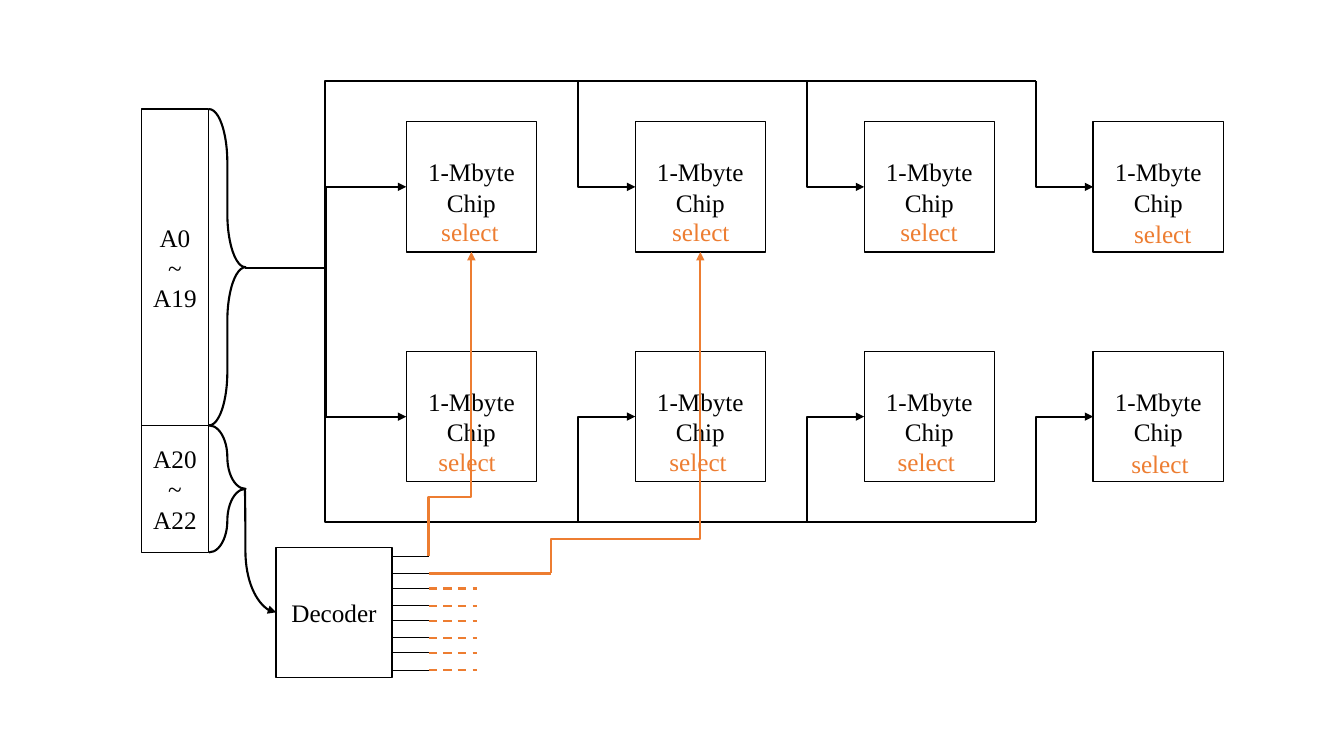
import pptx
import pptx.util
import pptx.dml.color
import pptx.enum.dml
import pptx.enum.shapes
import pptx.enum.text
import pptx.oxml.ns
from lxml import etree
from pptx.util import Cm

COLORS = {"ink": "000000", "paper": "FFFFFF", "select": "ED7D31"}
SHAPES = pptx.enum.shapes.MSO_SHAPE
LINKS = pptx.enum.shapes.MSO_CONNECTOR
qn = pptx.oxml.ns.qn


def rgb(name):
    return pptx.dml.color.RGBColor.from_string(COLORS[name])


class Diagram:
    """Holds the style and the current slide; all lengths are in centimetres."""

    font = "Times New Roman"
    size = pptx.util.Pt(18)

    def __init__(self, page):
        self.page = page

    def add_lines(self, frame, lines, color, align):
        frame.word_wrap = True
        for index, line in enumerate(lines):
            para = frame.paragraphs[0] if index == 0 else frame.add_paragraph()
            para.alignment = align
            span = para.add_run()
            span.text = line
            span.font.name = self.font
            span.font.size = self.size
            span.font.color.rgb = rgb(color)

    def box(self, left, top, width, height, *lines):
        box = self.page.shapes.add_shape(
            SHAPES.RECTANGLE, Cm(left), Cm(top), Cm(width), Cm(height))
        box.shadow.inherit = False
        box.fill.solid()
        box.fill.fore_color.rgb = rgb("paper")
        box.line.color.rgb = rgb("ink")
        box.line.width = pptx.util.Pt(1)
        box.text_frame.vertical_anchor = pptx.enum.text.MSO_ANCHOR.MIDDLE
        self.add_lines(box.text_frame, lines, "ink", pptx.enum.text.PP_ALIGN.CENTER)

    def brace(self, left, top, width, height):
        brace = self.page.shapes.add_shape(
            SHAPES.RIGHT_BRACE, Cm(left), Cm(top), Cm(width), Cm(height))
        brace.shadow.inherit = False
        brace.fill.background()
        brace.line.color.rgb = rgb("ink")
        brace.line.width = pptx.util.Pt(1.5)
        brace.adjustments[0] = 1.47
        brace.adjustments[1] = 0.5

    def label(self, left, top, text):
        label = self.page.shapes.add_textbox(Cm(left), Cm(top), Cm(1.98), Cm(1.02))
        self.add_lines(label.text_frame, [text], "select", pptx.enum.text.PP_ALIGN.LEFT)

    def line(self, start, end, color="ink", weight=1.5, kind=LINKS.STRAIGHT,
             arrow=False, dashed=False, bend=None):
        link = self.page.shapes.add_connector(
            kind, *(Cm(value) for value in (*start, *end)))
        link.line.color.rgb = rgb(color)
        link.line.width = pptx.util.Pt(weight)
        if dashed:
            link.line.dash_style = pptx.enum.dml.MSO_LINE.DASH
        properties = link._element.spPr
        if arrow:
            etree.SubElement(properties.find(qn("a:ln")), qn("a:tailEnd"), type="triangle")
        etree.SubElement(properties, qn("a:effectLst"))
        if bend is not None:
            guides = properties.find(qn("a:prstGeom")).find(qn("a:avLst"))
            etree.SubElement(guides, qn("a:gd"), name="adj1",
                             fmla=f"val {round(bend * 100000)}")
        return link

    def riser(self, start, end, bend=None, **style):
        """Elbow that leaves vertically and ends to the right of its start."""
        (x1, y1), (x2, y2) = start, end
        middle_x, middle_y = (x1 + x2) / 2, (y1 + y2) / 2
        half_run, half_rise = (x2 - x1) / 2, abs(y2 - y1) / 2
        link = self.line((middle_x - half_rise, middle_y - half_run),
                         (middle_x + half_rise, middle_y + half_run),
                         kind=LINKS.ELBOW, bend=bend, **style)
        frame = link._element.spPr.find(qn("a:xfrm"))
        frame.set("flipH", "1")
        if y2 > y1:
            frame.set("rot", "16200000")
        else:
            frame.set("rot", "5400000")
            frame.set("flipV", "1")
        if bend is None:
            link._element.spPr.find(qn("a:prstGeom")).set("prst", "bentConnector2")


deck = pptx.Presentation()
deck.slide_width, deck.slide_height = Cm(33.87), Cm(19.05)
diagram = Diagram(deck.slides.add_slide(deck.slide_layouts[6]))

# Memory chips
CHIP = 3.28
chip_lefts = [10.24 + 5.77 * column for column in range(4)]
chip_tops = [3.07, 8.86]
for top in chip_tops:
    for left in chip_lefts:
        diagram.box(left, top, CHIP, CHIP, "1-Mbyte", "Chip")

# Address register
REGISTER_LEFT, REGISTER_WIDTH, BRACE_WIDTH = 3.57, 1.68, 0.92
register_right = REGISTER_LEFT + REGISTER_WIDTH
for top, height, first, last in [(2.75, 7.97, "A0", "A19"), (10.72, 3.2, "A20", "A22")]:
    diagram.box(REGISTER_LEFT, top, REGISTER_WIDTH, height, first, "~", last)
    diagram.brace(register_right + 0.02, top, BRACE_WIDTH, height)

# Decoder and its output pins
DECODER_LEFT, DECODER_RIGHT, PIN_END = 6.96, 9.88, 10.8
diagram.box(DECODER_LEFT, 13.79, DECODER_RIGHT - DECODER_LEFT, CHIP, "Decoder")
pins = [14.02 + 0.81 * (pin // 2) + 0.43 * (pin % 2) for pin in range(8)]
for y in pins:
    diagram.line((DECODER_RIGHT, y), (PIN_END, y), weight=0.5)
BRACE_TIP = 6.17
diagram.line((BRACE_TIP, 12.3), (DECODER_LEFT, 15.43), kind=LINKS.CURVE,
             arrow=True, bend=0.02)

# Address buses to both chip rows
TRUNK = 8.2
for top, bus in zip(chip_tops, [2.04, 13.16]):
    entry = top + CHIP / 2
    diagram.line((BRACE_TIP, 6.75), (chip_lefts[0], entry), kind=LINKS.ELBOW,
                 arrow=True, bend=0.5)
    drops = [left - 1.45 for left in chip_lefts[1:]]
    for drop, left in zip(drops, chip_lefts[1:]):
        diagram.riser((drop, bus), (left, entry), arrow=True)
    diagram.riser((TRUNK, entry), (drops[-1], bus))

# Chip select lines
SECOND_START = 13.89
for start, pin, left, bend in [(PIN_END, pins[0], chip_lefts[0], 0.195),
                               (SECOND_START, pins[1], chip_lefts[1], 0.108)]:
    diagram.riser((start, pin), (left + CHIP / 2, chip_tops[0] + CHIP), bend=bend,
                  color="select", arrow=True)
diagram.line((PIN_END, pins[1]), (SECOND_START, pins[1]), "select")
for y in pins[2:]:
    diagram.line((PIN_END, y), (12.02, y), "select", dashed=True)

# Select labels
for top, shift in [(5.33, 0), (11.13, -0.07)]:
    for left, drop in [(10.87, 0), (16.69, 0), (22.44, 0), (28.33, 0.04)]:
        diagram.label(left + shift, top + drop, "select")

deck.save("out.pptx")
